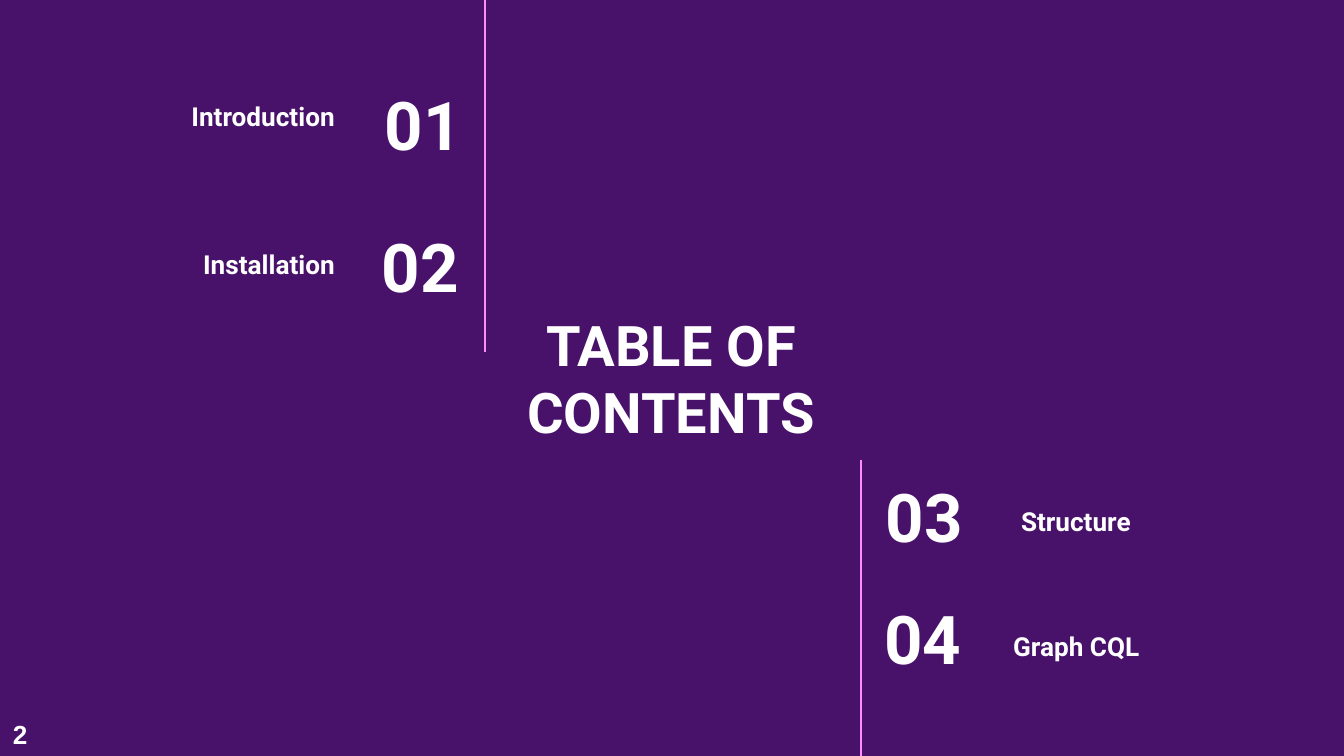
from pptx import Presentation
from pptx.dml.color import RGBColor
from pptx.enum.shapes import MSO_CONNECTOR as Connector
from pptx.enum.text import MSO_ANCHOR as Anchor, MSO_AUTO_SIZE as AutoSize, PP_ALIGN as Align
from pptx.oxml.ns import qn
from pptx.util import Pt
from lxml.etree import SubElement

EMU_PER_PX = 914400 / 134.4
INSET = 13
COLORS = {"background": "48126A", "text": "FFFFFF", "line": "FF8CFF"}

# Number, number box, heading, heading box, heading anchor, alignments
ENTRIES = [
    ("01", (312, 81, 163, 85), Align.RIGHT, "Introduction", (58, 95, 290, 50), Align.RIGHT),
    ("02", (309, 223, 163, 85), Align.RIGHT, "Installation", (58, 239, 290, 54), Align.RIGHT),
    ("03", (813, 473, 163, 85), Align.RIGHT, "Structure", (937, 465, 207, 85), Align.RIGHT),
    ("04", (871, 595, 157, 85), Align.LEFT, "Graph CQL", (1000, 625, 290, 50), Align.LEFT),
]
# x, top, bottom
DIVIDERS = [(485, 0, 352), (861, 460, 756)]


def px(length):
    return round(length * EMU_PER_PX)


def color(name):
    return RGBColor.from_string(COLORS[name])


def write_text(shape, text, size, align, anchor, font_name="Roboto"):
    frame = shape.text_frame
    frame.word_wrap = True
    frame.auto_size = AutoSize.NONE
    frame.vertical_anchor = anchor
    frame.margin_left = frame.margin_right = px(INSET)
    frame.margin_top = frame.margin_bottom = px(INSET)
    frame.text = text
    paragraph = frame.paragraphs[0]
    paragraph.alignment = align
    font = paragraph.font
    font.name, font.size, font.bold = font_name, Pt(size), True
    font.color.rgb = color("text")


def add_title(slide, text, box):
    title = slide.shapes.title
    title.left, title.top, title.width, title.height = map(px, box)
    write_text(title, text, 30, Align.CENTER, Anchor.MIDDLE)


def add_text(slide, text, box, size, align, anchor, font_name="Roboto"):
    shape = slide.shapes.add_textbox(*map(px, box))
    write_text(shape, text, size, align, anchor, font_name)
    return shape


def add_divider(slide, x, top, bottom):
    line = slide.shapes.add_connector(Connector.STRAIGHT, px(x), px(top), px(x), px(bottom))
    line.line.color.rgb = color("line")
    line.line.width = Pt(0.75)
    SubElement(line._element.spPr, qn("a:effectLst"))


def main():
    presentation = Presentation()
    presentation.slide_width, presentation.slide_height = px(1344), px(756)
    slide = presentation.slides.add_slide(presentation.slide_layouts[5])

    # Background and title
    slide.background.fill.solid()
    slide.background.fill.fore_color.rgb = color("background")
    add_title(slide, "TABLE OF CONTENTS", (497, 309, 348, 138))

    # Contents entries
    for number, number_box, number_align, heading, heading_box, heading_align in ENTRIES:
        add_text(slide, number, number_box, 36, number_align, Anchor.MIDDLE)
        add_text(slide, heading, heading_box, 14, heading_align, Anchor.BOTTOM)

    # Vertical dividers
    for divider in DIVIDERS:
        add_divider(slide, *divider)

    # Slide number
    add_text(slide, "2", (0, 711, 58, 46), 14, Align.LEFT, Anchor.MIDDLE, "Arial")

    presentation.save("out.pptx")


if __name__ == "__main__":
    main()
